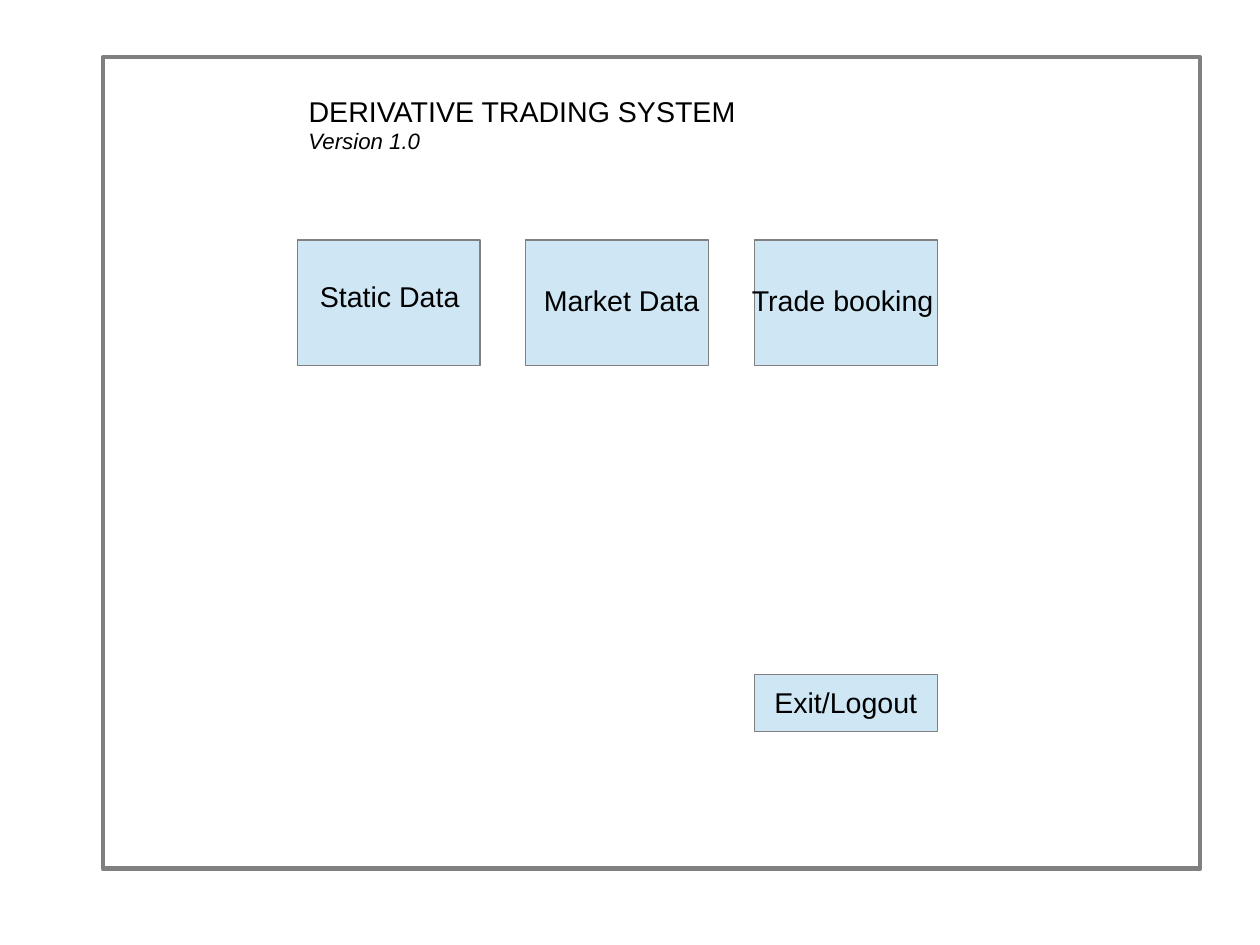
from pptx import Presentation
from pptx.dml.color import RGBColor
from pptx.enum.shapes import MSO_SHAPE as Shape
from pptx.enum.text import MSO_ANCHOR as Anchor, MSO_AUTO_SIZE as Fit, PP_ALIGN as Align
from pptx.util import Cm, Inches, Pt

WIDE, HIGH = Cm(28), Cm(21)
BLUE, GREY, BLACK = "CFE7F5", "808080", "000000"
LEFT, TOP = 2.6, 2.1           # first button
BOX_W, BOX_H, STEP = 1.6, 1.1, 2.0
LABELS = [("Static Data", 0.1, 0.32, 1.5),
          ("Market Data", 0.06, 0.36, 1.7),
          ("Trade booking", -0.12, 0.36, 2.0)]


def color(code):
    return RGBColor.from_string(code)


def place(shape, box):
    for name, size in zip(("left", "top", "width", "height"), box):
        setattr(shape, name, Inches(size))


def write(shape, text, size=18, italic=False, align=Align.LEFT,
          anchor=Anchor.TOP, spacing=0.83, inset=0.07):
    frame = shape.text_frame
    frame.text = text
    look = {"word_wrap": True, "auto_size": Fit.NONE, "vertical_anchor": anchor,
            "margin_left": Inches(0.1), "margin_right": Inches(0.1),
            "margin_top": Inches(inset), "margin_bottom": Inches(0.05)}
    for name, value in look.items():
        setattr(frame, name, value)
    para = frame.paragraphs[0]
    para.alignment, para.line_spacing = align, spacing
    para.space_before = Pt(0)
    font = para.runs[0].font
    for name, value in {"name": "Arial", "size": Pt(size), "italic": italic}.items():
        setattr(font, name, value)
    font.color.rgb = color(BLACK)


def label(slide, box, text, **style):
    note = slide.shapes.add_textbox(*map(Inches, box))
    write(note, text, **style)


def panel(slide, box, fill=None, width=0.75):
    shape = slide.shapes.add_shape(Shape.ROUNDED_RECTANGLE, *map(Inches, box))
    shape.adjustments[0] = 0
    shape.shadow.inherit = False
    if fill:
        shape.fill.solid()
        shape.fill.fore_color.rgb = color(fill)
    else:
        shape.fill.background()
    shape.line.color.rgb = color(GREY)
    shape.line.width = Pt(width)
    return shape


# Heading with the version below it
def header(slide, left, top):
    title = slide.shapes.title
    place(title, (left, top, 5.6, 0.38))
    write(title, "DERIVATIVE TRADING SYSTEM")
    label(slide, (left, top + 0.29, 3.1, 0.32), "Version 1.0",
          size=14, italic=True, inset=0.06)


# Row of menu buttons, each label offset from its button
def menu(slide, left, top):
    for col, (text, dx, dy, width) in enumerate(LABELS):
        x = left + col * STEP
        panel(slide, (x, top, BOX_W, BOX_H), BLUE)
        label(slide, (x + dx, top + dy, width, 0.38), text)


# Exit button under the last column
def leave(slide, left, top):
    button = panel(slide, (left, top, BOX_W, 0.5), BLUE)
    write(button, "Exit/Logout", align=Align.CENTER,
          anchor=Anchor.MIDDLE, spacing=0.93)


def main():
    deck = Presentation()
    deck.slide_width, deck.slide_height = WIDE, HIGH
    slide = deck.slides.add_slide(deck.slide_layouts[5])
    header(slide, LEFT, 0.8)
    menu(slide, LEFT, TOP)
    leave(slide, LEFT + 2 * STEP, 5.9)
    # Window frame
    panel(slide, (0.9, 0.5, 9.6, 7.1), width=2.89)
    deck.save("out.pptx")


if __name__ == "__main__":
    main()
